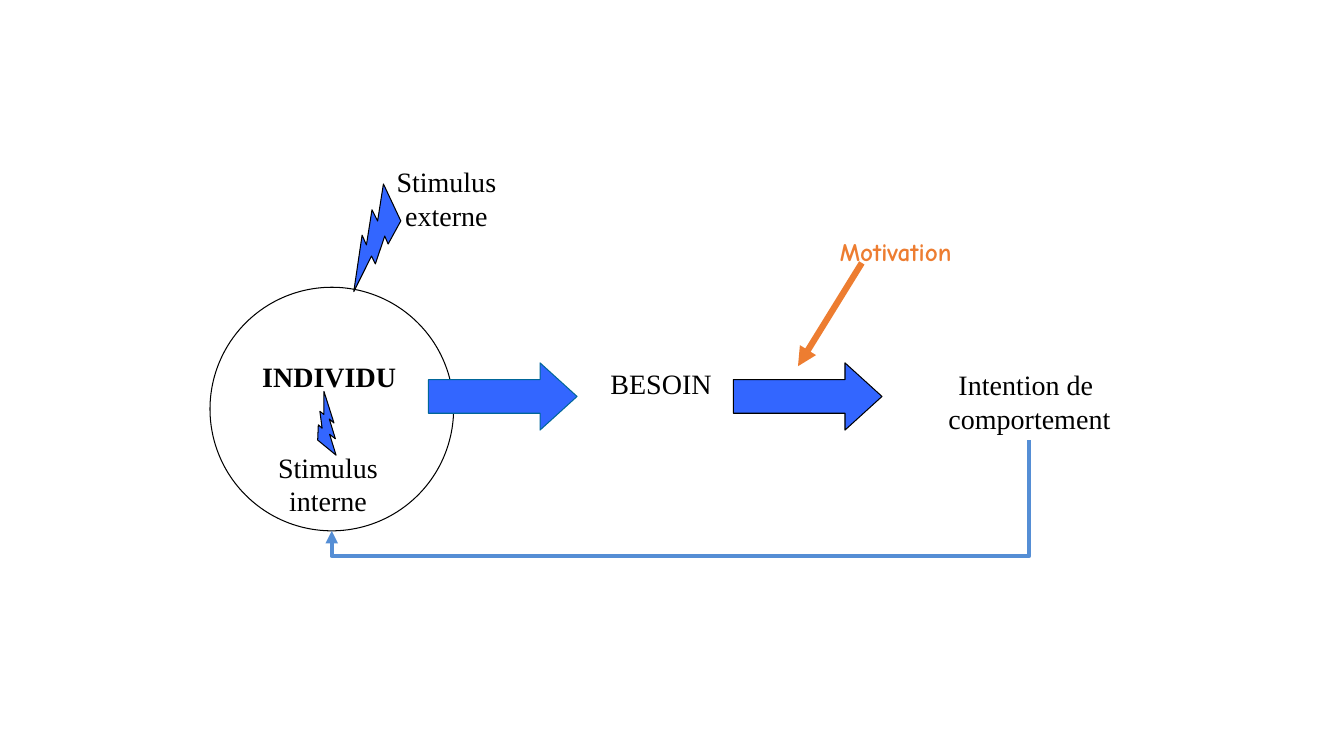
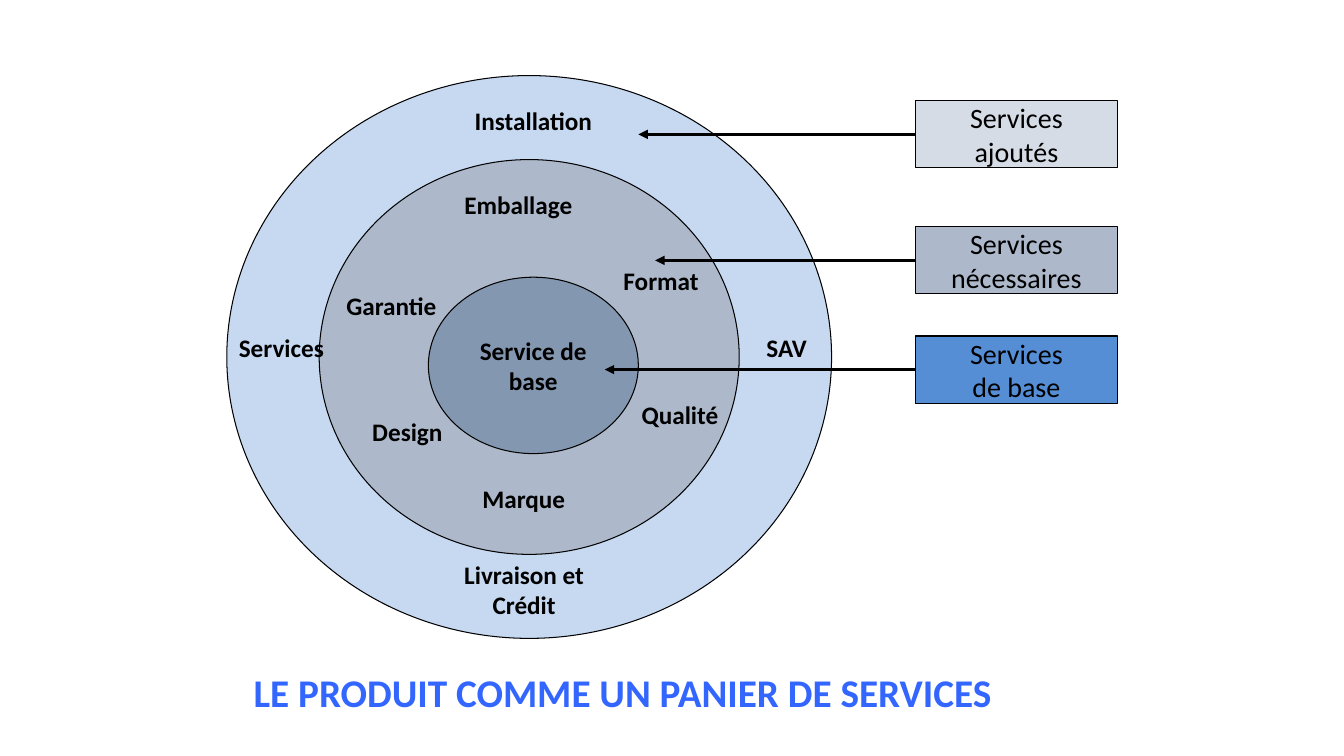
"""Build two marketing diagrams: the path from need to behaviour, and the product as a basket of services."""
from lxml.etree import SubElement
from pptx import Presentation
from pptx.dml.color import RGBColor
from pptx.enum.shapes import MSO_CONNECTOR, MSO_SHAPE
from pptx.enum.text import MSO_ANCHOR, MSO_AUTO_SIZE, PP_ALIGN
from pptx.oxml.ns import qn
from pptx.util import Inches, Pt

BLACK = RGBColor(0x00, 0x00, 0x00)
WHITE = RGBColor(0xFF, 0xFF, 0xFF)
BLUE = RGBColor(0x33, 0x66, 0xFF)
TEAL = RGBColor(0x00, 0x66, 0x99)
ORANGE = RGBColor(0xED, 0x7D, 0x31)
SKY = RGBColor(0x55, 0x8E, 0xD5)
PALE_BLUE = RGBColor(0xC6, 0xD9, 0xF1)
PALE_GREY = RGBColor(0xD6, 0xDC, 0xE5)
GREY = RGBColor(0xAD, 0xB9, 0xCA)
SLATE = RGBColor(0x84, 0x97, 0xB0)

SERIF, SANS, COMIC = "Times New Roman", "Calibri", "Comic Neue"
COLS, ROWS = 160, 90

prs = Presentation()
prs.slide_width, prs.slide_height = Inches(13.33), Inches(7.5)
COL, ROW = prs.slide_width / COLS, prs.slide_height / ROWS


def draw(s, kind, x, y, w, h, fill=None, line=BLACK):
    """Add a preset shape, or a text box when kind is None, on the grid."""
    box = [int(v) for v in (x * COL, y * ROW, w * COL, h * ROW)]
    if kind is None:
        return s.shapes.add_textbox(*box)
    sp = s.shapes.add_shape(kind, *box)
    sp.shadow.inherit = False
    sp.fill.solid()
    sp.fill.fore_color.rgb = fill
    sp.line.color.rgb = line
    sp.line.width = Pt(0.75)
    return sp


def write(sp, text, size, font, bold=False, color=BLACK, align=PP_ALIGN.CENTER, wrap=False):
    """Fill a shape with one paragraph per line of text."""
    tf = sp.text_frame
    tf.text = text
    tf.word_wrap = wrap
    for p in tf.paragraphs:
        p.alignment = align
        p.font.size, p.font.name = Pt(size), font
        p.font.bold, p.font.color.rgb = bold, color
    return tf


s = prs.slides.add_slide(prs.slide_layouts[6])
draw(s, MSO_SHAPE.OVAL, 25, 34.2, 29, 29, WHITE)

for x, y, w, h, angle in [(35.5, 48.6, 7, 4, 234.1), (38.5, 24.7, 12, 7, 79.8)]:
    draw(s, MSO_SHAPE.LIGHTNING_BOLT, x, y, w, h, BLUE).rotation = angle

for x, line in [(51, TEAL), (87.3, BLACK)]:
    sp = draw(s, MSO_SHAPE.RIGHT_ARROW, x, 43.2, 17.7, 8, BLUE, line)
    sp.adjustments[0], sp.adjustments[1] = 0.5, 0.55

for text, x, y, w, h, bold in [
    ("INDIVIDU", 29.9, 42.2, 18.6, 5.3, True),
    ("Stimulus\ninterne", 31.9, 53, 14.3, 9.2, False),
    ("Stimulus\nexterne", 46, 19, 14.3, 9.2, False),
    ("BESOIN", 71.4, 43, 14.6, 5.3, False),
    ("Intention de \ncomportement", 111.7, 43.2, 21.7, 9.2, False),
]:
    write(draw(s, None, x, y, w, h), text, 20, SERIF, bold).auto_size = MSO_AUTO_SIZE.SHAPE_TO_FIT_TEXT

write(draw(s, None, 98.8, 27.5, 25.5, 4.8), "Motivation", 18, COMIC, True, ORANGE, PP_ALIGN.LEFT, True)

arrows = [
    (s, MSO_CONNECTOR.ELBOW, 75.6, 16.3, 86.4, 99.3, SKY, 3),
    (s, MSO_CONNECTOR.STRAIGHT, 102.6, 31.3, 95, 43.6, ORANGE, 4.5),
]

s = prs.slides.add_slide(prs.slide_layouts[5])
title = s.shapes.title
title.left, title.top = int(29 * COL), int(79 * ROW)
title.width, title.height = int(93 * COL), int(6.8 * ROW)
tf = write(title, "LE PRODUIT COMME UN PANIER DE SERVICES", 28, SANS, True, BLUE, PP_ALIGN.LEFT, True)
tf.vertical_anchor = MSO_ANCHOR.TOP
tf.auto_size = MSO_AUTO_SIZE.NONE

for x, y, w, h, fill in [(27, 9, 72, 67, PALE_BLUE), (38, 19, 50, 47, GREY), (51, 33, 25, 21, SLATE)]:
    ring = draw(s, MSO_SHAPE.FLOWCHART_CONNECTOR, x, y, w, h, fill)
write(ring, "Service de\nbase", 18, SANS, True).vertical_anchor = MSO_ANCHOR.MIDDLE

for text, x, y, w in [
    ("Emballage", 54, 22, 15.4),
    ("Format", 73, 31, 11.4),
    ("Marque", 56, 57, 12.7),
    ("Qualité", 75, 47, 11.9),
    ("Design", 43, 49, 11),
    ("SAV", 90, 39, 7.3),
    ("Garantie", 40, 34, 13.2),
    ("Livraison et\nCrédit", 54, 66, 16.8),
    ("Services", 27, 39, 13),
    ("Installation", 55, 12, 17),
]:
    h = 1.2 + 3.6 * len(text.split("\n"))
    write(draw(s, None, x, y, w, h), text, 18, SANS, True).auto_size = MSO_AUTO_SIZE.SHAPE_TO_FIT_TEXT

for text, y, fill, tip in [
    ("Services\najoutés", 12, PALE_GREY, 76),
    ("Services\nnécessaires", 27, GREY, 78),
    ("Services\nde base", 40, SKY, 72),
]:
    sp = draw(s, MSO_SHAPE.RECTANGLE, 109, y, 24, 8, fill)
    write(sp, text, 20, SANS).vertical_anchor = MSO_ANCHOR.MIDDLE
    arrows.append((s, MSO_CONNECTOR.STRAIGHT, 109, y + 4, tip, y + 4, BLACK, 2.25))

for s, kind, x1, y1, x2, y2, color, width in arrows:
    c = s.shapes.add_connector(kind, int(x1 * COL), int(y1 * ROW), int(x2 * COL), int(y2 * ROW))
    c.line.color.rgb = color
    c.line.width = Pt(width)
    SubElement(c.line._get_or_add_ln(), qn("a:tailEnd"), type="triangle")
    spPr = c._element.spPr
    SubElement(spPr, qn("a:effectLst"))
    if kind == MSO_CONNECTOR.ELBOW:
        spPr.find(qn("a:xfrm")).set("rot", str(90 * 60000))
        guides = spPr.find(qn("a:prstGeom")).get_or_add_avLst()
        SubElement(guides, qn("a:gd"), name="adj1", fmla="val 127800")

prs.save("out.pptx")
